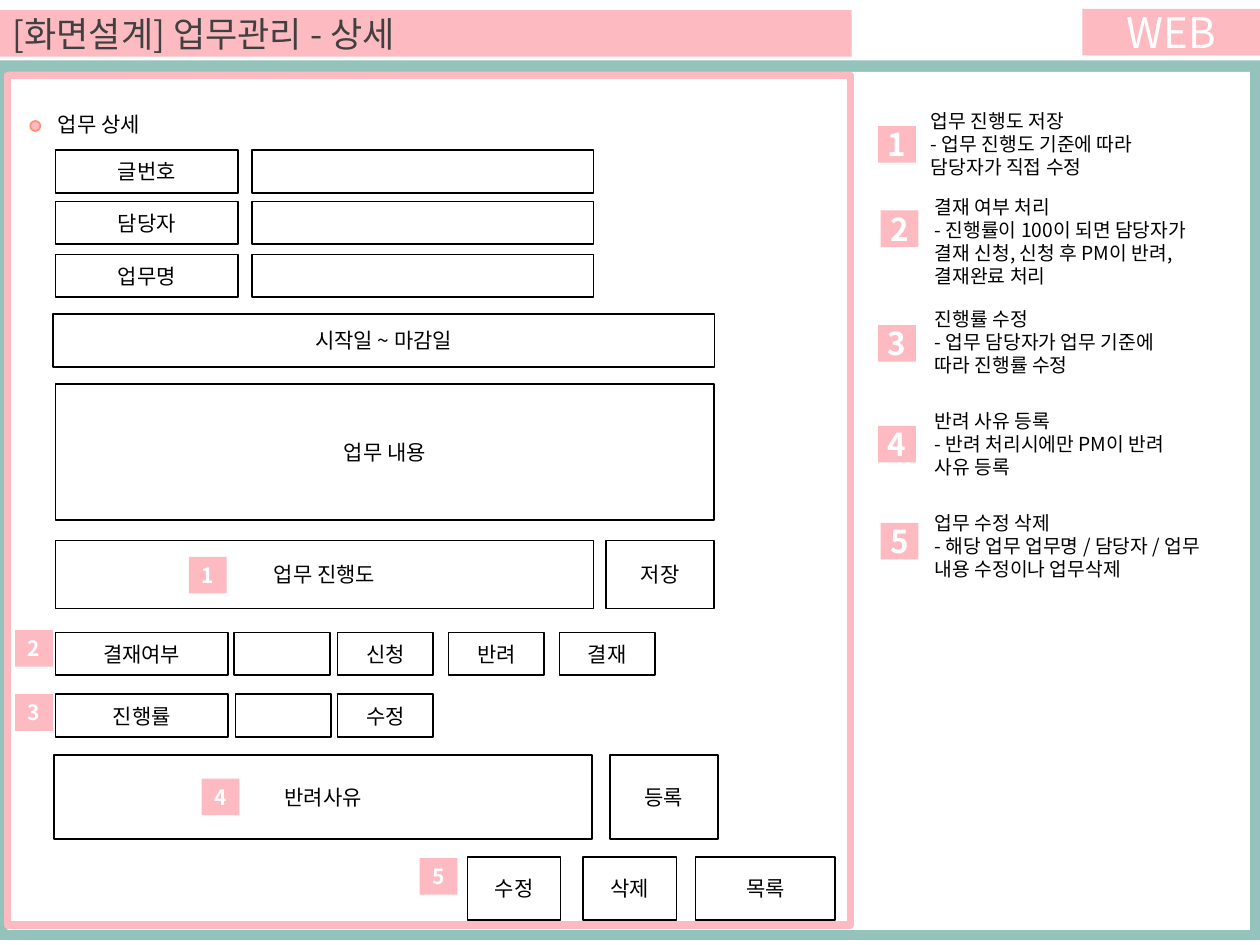
from lxml import etree
from pptx import Presentation
from pptx.dml.color import RGBColor
from pptx.enum.shapes import MSO_SHAPE
from pptx.enum.text import MSO_ANCHOR, MSO_AUTO_SIZE, PP_ALIGN
from pptx.oxml.ns import qn
from pptx.util import Inches, Pt

RECT, OVAL = MSO_SHAPE.RECTANGLE, MSO_SHAPE.OVAL
LEFT, CENTER = PP_ALIGN.LEFT, PP_ALIGN.CENTER
MIDDLE = MSO_ANCHOR.MIDDLE
FIT_SHAPE, NO_FIT = MSO_AUTO_SIZE.SHAPE_TO_FIT_TEXT, MSO_AUTO_SIZE.NONE

PINK = RGBColor(0xFD, 0xBB, 0xC1)
CORAL = RGBColor(0xFE, 0x90, 0x7E)
TEAL = RGBColor(0x94, 0xC3, 0xBB)
WHITE = RGBColor(0xFF, 0xFF, 0xFF)
BLACK = RGBColor(0, 0, 0)
GRAY = RGBColor(0x40, 0x40, 0x40)

FONT = "Noto Sans CJK KR"
SLIDE_W, SLIDE_H = Inches(10), Inches(7.5)
CELL = SLIDE_W // 100  # the slide is a grid of 100 columns by 75 rows
BADGE_W, BADGE_H = 3, 2.9
FIELD_H = 3.4

# Regions in grid cells: left, top, width, height
HEADER = (0, 0.7, 100, 3.8)
BODY = (0, 4.8, 100, 69.8)
FORM = (0.6, 6, 66.9, 67.4)
LEGEND = (69.7, 8.2, 28.1, 40.3)

# Form rows: top, height, [(left, width, label)], relative to FORM
FIELD_ROWS = [(top, FIELD_H, [(3.8, 14.5, label), (19.4, 27.1, "")])
              for top, label in ((5.9, "글번호"), (10, "담당자"), (14.2, "업무명"))]
FORM_ROWS = FIELD_ROWS + [
    (18.9, 4.2, [(3.6, 52.5, "시작일 ~ 마감일")]),
    (24.5, 10.8, [(3.8, 52.3, "업무 내용")]),
    (36.9, 5.4, [(3.8, 42.7, "업무 진행도"), (47.5, 8.6, "저장")]),
    (44.2, FIELD_H, [(3.8, 13.7, "결재여부"), (18, 7.6, ""), (26.2, 7.6, "신청"),
                     (35, 7.6, "반려"), (43.8, 7.6, "결재")]),
    (49.1, FIELD_H, [(3.8, 13.7, "진행률"), (18.1, 7.6, ""), (26.2, 7.6, "수정")]),
    (53.9, 6.7, [(3.7, 42.7, "반려사유"), (47.8, 8.6, "등록")]),
    (62, 5, [(36.5, 7.4, "수정"), (45.7, 7.4, "삭제"), (54.6, 11.1, "목록")]),
]
FORM_BADGES = [(14.4, 38.2), (0.6, 44), (0.6, 49.1), (15.4, 55.8), (32.7, 62.1)]

# Legend notes: badge left, badge top, note left, note top, width, height, title, detail
LEGEND_NOTES = [
    (0, 1.8, 3.2, 0, 22, 6.6, "업무 진행도 저장",
     "- 업무 진행도 기준에 따라 담당자가 직접 수정"),
    (0.2, 8.5, 3.5, 6.8, 24.6, 8.4, "결재 여부 처리",
     "- 진행률이 100이 되면 담당자가 결재 신청, 신청 후 PM이 반려, 결재완료 처리"),
    (0, 17.6, 3.5, 15.7, 22, 6.6, "진행률 수정",
     "- 업무 담당자가 업무 기준에 따라 진행률 수정"),
    (0, 25.6, 3.5, 23.8, 23.3, 6.6, "반려 사유 등록",
     "- 반려 처리시에만 PM이 반려 사유 등록"),
    (0.2, 33.3, 3.5, 31.9, 23.3, 8.4, "업무 수정 삭제",
     "- 해당 업무 업무명 / 담당자 / 업무 내용 수정이나 업무삭제"),
]

FIELD_TEXT = {"size": Pt(12), "color": BLACK}
NOTE_TEXT = {"size": Pt(11), "color": BLACK}


def within(region, left, top, width, height):
    """Turn cells relative to a region into slide lengths."""
    cells = (region[0] + left, region[1] + top, width, height)
    return [round(cell * CELL) for cell in cells]


def write(frame, lines, style, align=LEFT):
    """Fill a text frame with one paragraph per line."""
    frame.word_wrap = True
    for index, line in enumerate(lines):
        paragraph = frame.paragraphs[0] if index == 0 else frame.add_paragraph()
        paragraph.alignment = align
        run = paragraph.add_run()
        run.text = line
        values = {"name": FONT, "bold": False, **style}
        run.font.color.rgb = values.pop("color")
        for attribute, value in values.items():
            setattr(run.font, attribute, value)
        east_asian = etree.SubElement(run.font._element, qn("a:ea"))
        east_asian.set("typeface", FONT)


def add_box(slide, place, fill=None, line=None, line_width=1, label="",
            style=FIELD_TEXT, kind=RECT):
    box = slide.shapes.add_shape(kind, *place)
    box.shadow.inherit = False
    if fill is None:
        box.fill.background()
    else:
        box.fill.solid()
        box.fill.fore_color.rgb = fill
    if line is None:
        box.line.fill.background()
    else:
        box.line.color.rgb = line
        box.line.width = Pt(line_width)
    if label:
        frame = box.text_frame
        frame.vertical_anchor = MIDDLE
        frame.margin_left = frame.margin_right = 0
        write(frame, [label], style, CENTER)


def add_badge(slide, region, left, top, number, size):
    add_box(slide, within(region, left, top, BADGE_W, BADGE_H), PINK, label=str(number),
            style={"size": Pt(size), "color": WHITE, "bold": True})


def add_text(slide, place, lines, style):
    frame = slide.shapes.add_textbox(*place).text_frame
    write(frame, lines, style)
    frame.auto_size = FIT_SHAPE


def build_header(slide, region):
    title = slide.shapes.title
    title.left, title.top, title.width, title.height = within(region, 0, 0.1, 67.6, 3.7)
    title.fill.solid()
    title.fill.fore_color.rgb = PINK
    frame = title.text_frame
    frame.vertical_anchor = MIDDLE
    frame.auto_size = NO_FIT
    write(frame, ["[화면설계] 업무관리 - 상세"], {"size": Pt(20), "color": GRAY})
    add_box(slide, within(region, 85.9, 0, 14.1, 3.7), PINK, label="WEB",
            style={"size": Pt(24), "color": WHITE})


def build_frame(slide, region):
    add_box(slide, within(region, 0, 0, *region[2:]), TEAL)
    add_box(slide, within(region, 0.6, 0.9, 98.6, 68.1), WHITE)


def build_form(slide, region):
    add_box(slide, within(region, 0, 0, *region[2:]), line=PINK, line_width=4.5)
    # Section heading with its bullet dot
    add_box(slide, within(region, 1.8, 3.6, 0.8, 0.8), PINK, CORAL, kind=OVAL)
    add_text(slide, within(region, 3, 2.4, 38.2, 3), ["업무 상세"], FIELD_TEXT)
    # Fields and buttons
    for top, height, fields in FORM_ROWS:
        for left, width, label in fields:
            add_box(slide, within(region, left, top, width, height), WHITE, BLACK, label=label)
    # Numbers that point to the legend
    for number, (left, top) in enumerate(FORM_BADGES, 1):
        add_badge(slide, region, left, top, number, 12)


def build_legend(slide, region):
    for number, note in enumerate(LEGEND_NOTES, 1):
        badge_left, badge_top, left, top, width, height, heading, detail = note
        add_badge(slide, region, badge_left, badge_top, number, 18)
        add_text(slide, within(region, left, top, width, height), [heading, detail], NOTE_TEXT)


def main():
    deck = Presentation()
    deck.slide_width, deck.slide_height = SLIDE_W, SLIDE_H
    slide = deck.slides.add_slide(deck.slide_layouts[5])
    build_header(slide, HEADER)
    build_frame(slide, BODY)
    build_form(slide, FORM)
    build_legend(slide, LEGEND)
    deck.save("out.pptx")


if __name__ == "__main__":
    main()
